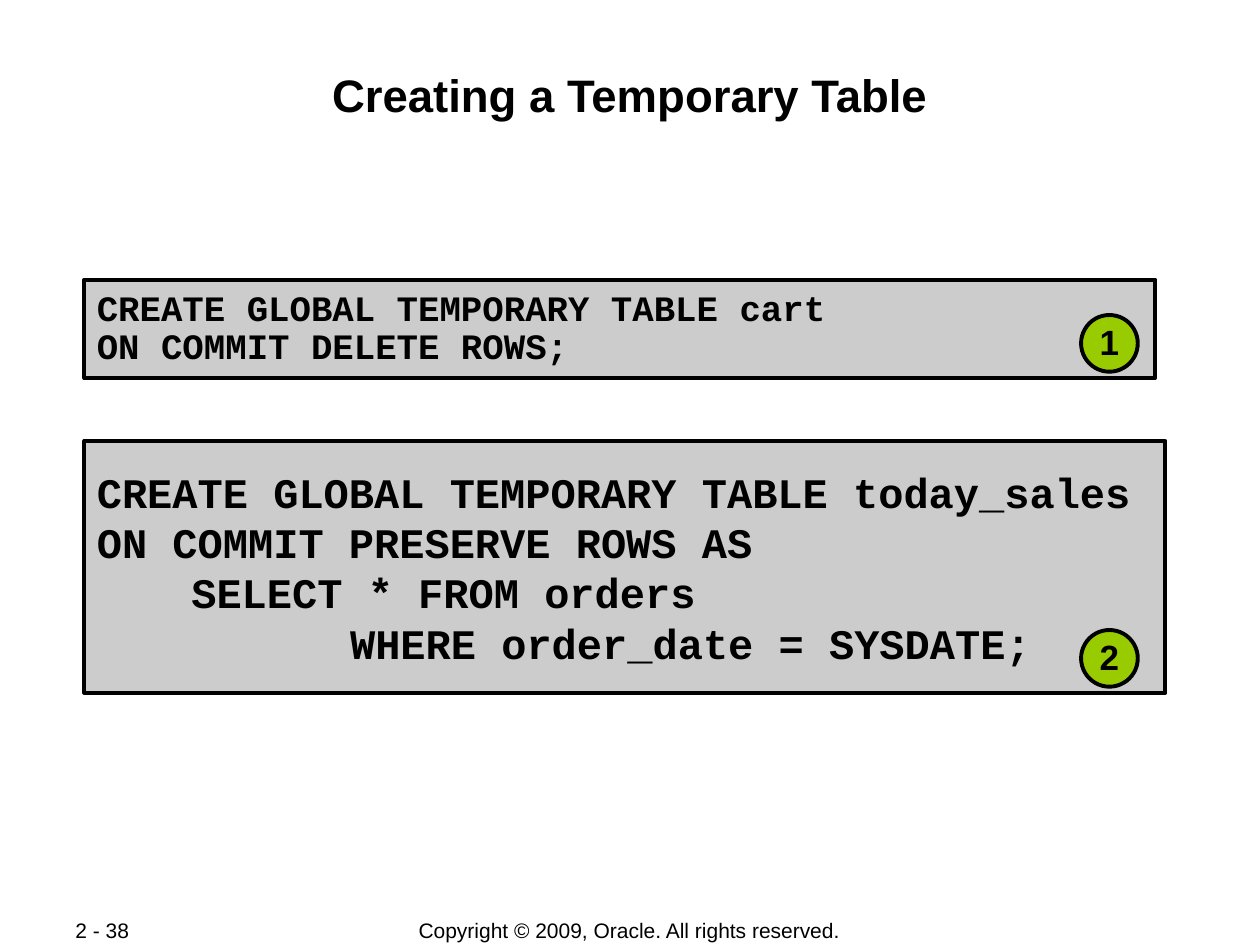
from pptx import Presentation
from pptx.dml.color import RGBColor
from pptx.enum.shapes import MSO_SHAPE
from pptx.enum.text import MSO_ANCHOR, PP_ALIGN
from pptx.oxml.ns import qn
from pptx.util import Pt
from lxml import etree

COLORS = {"ink": "000000", "code": "CCCCCC", "badge": "99CC00"}
TEXT_FONT, CODE_FONT = "Arial", "Courier New"
LEFT = 48.24
CODE_TABS = (54, 144.72)


class SlideBuilder:
    def __init__(self, slide):
        self.slide = slide

    def color(self, name):
        return RGBColor.from_string(COLORS[name])

    def set_frame(self, frame, margins, anchor=MSO_ANCHOR.MIDDLE):
        frame.word_wrap = True
        frame.vertical_anchor = anchor
        (frame.margin_left, frame.margin_top,
         frame.margin_right, frame.margin_bottom) = map(Pt, margins)

    def add_run(self, paragraph, text, size, font=TEXT_FONT, bold=True):
        run = paragraph.add_run()
        run.text = text
        run.font.name = font
        run.font.size = Pt(size)
        run.font.bold = bold
        run.font.color.rgb = self.color("ink")

    def add_tabs(self, paragraph, positions):
        tabs = etree.SubElement(paragraph._p.get_or_add_pPr(), qn("a:tabLst"))
        for position in positions:
            etree.SubElement(tabs, qn("a:tab"), pos=str(Pt(position)), algn="l")

    def title(self, text, box, size):
        shape = self.slide.shapes.title
        shape.left, shape.top, shape.width, shape.height = map(Pt, box)
        self.set_frame(shape.text_frame, (0.72, 3.6, 0.72, 0.72), MSO_ANCHOR.TOP)
        paragraph = shape.text_frame.paragraphs[0]
        paragraph.alignment = PP_ALIGN.CENTER
        paragraph.space_before = Pt(0)
        self.add_run(paragraph, text, size)

    def footer(self, text, box, alignment):
        shape = self.slide.shapes.add_textbox(*map(Pt, box))
        self.set_frame(shape.text_frame, (7.2, 3.6, 7.2, 3.6))
        paragraph = shape.text_frame.paragraphs[0]
        paragraph.alignment = alignment
        self.add_run(paragraph, text, 12, bold=False)

    def outlined_shape(self, kind, box, fill):
        shape = self.slide.shapes.add_shape(kind, *map(Pt, box))
        shape.shadow.inherit = False
        shape.fill.solid()
        shape.fill.fore_color.rgb = self.color(fill)
        shape.line.color.rgb = self.color("ink")
        shape.line.width = Pt(2.25)
        return shape

    def code_box(self, paragraphs, box, size, line_spacing=1.0):
        shape = self.outlined_shape(MSO_SHAPE.RECTANGLE, box, "code")
        frame = shape.text_frame
        self.set_frame(frame, (7.2, 3.6, 7.2, 3.6))
        for index, lines in enumerate(paragraphs):
            paragraph = frame.add_paragraph() if index else frame.paragraphs[0]
            paragraph.alignment = PP_ALIGN.LEFT
            paragraph.line_spacing = line_spacing
            self.add_tabs(paragraph, CODE_TABS)
            for number, line in enumerate(lines):
                if number:
                    paragraph.add_line_break()
                self.add_run(paragraph, line, size, CODE_FONT)

    def badge(self, text, top):
        shape = self.outlined_shape(MSO_SHAPE.OVAL, (617.76, top, 32.4, 32.4), "badge")
        self.set_frame(shape.text_frame, (3.6, 3.6, 3.6, 3.6))
        paragraph = shape.text_frame.paragraphs[0]
        paragraph.alignment = PP_ALIGN.CENTER
        paragraph.line_spacing = 0.95
        self.add_run(paragraph, text, 20)


def main():
    presentation = Presentation()
    presentation.slide_width, presentation.slide_height = Pt(720), Pt(540)
    builder = SlideBuilder(presentation.slides.add_slide(presentation.slide_layouts[5]))

    # Footer
    builder.footer("Copyright © 2009, Oracle. All rights reserved.",
                   (198, 524.16, 323.28, 15.12), PP_ALIGN.CENTER)
    builder.footer("2 - 38", (36, 524.16, 76.32, 14.4), PP_ALIGN.LEFT)

    # Title
    builder.title("Creating a Temporary Table", (LEFT, 34.56, 623.52, 69.12), 26)

    # Code examples
    builder.code_box([["CREATE GLOBAL TEMPORARY TABLE cart", "ON COMMIT DELETE ROWS;"]],
                     (LEFT, 159.84, 612, 56.16), 20.4, 0.9)
    builder.code_box([["CREATE GLOBAL TEMPORARY TABLE today_sales"],
                      ["ON COMMIT PRESERVE ROWS AS"],
                      ["\tSELECT * FROM orders"],
                      ["\t\tWHERE order_date = SYSDATE;"]],
                     (LEFT, 252, 617.76, 144), 24)

    # Numbered badges
    for number, top in enumerate((180, 360), start=1):
        builder.badge(str(number), top)

    presentation.save("out.pptx")


if __name__ == "__main__":
    main()
